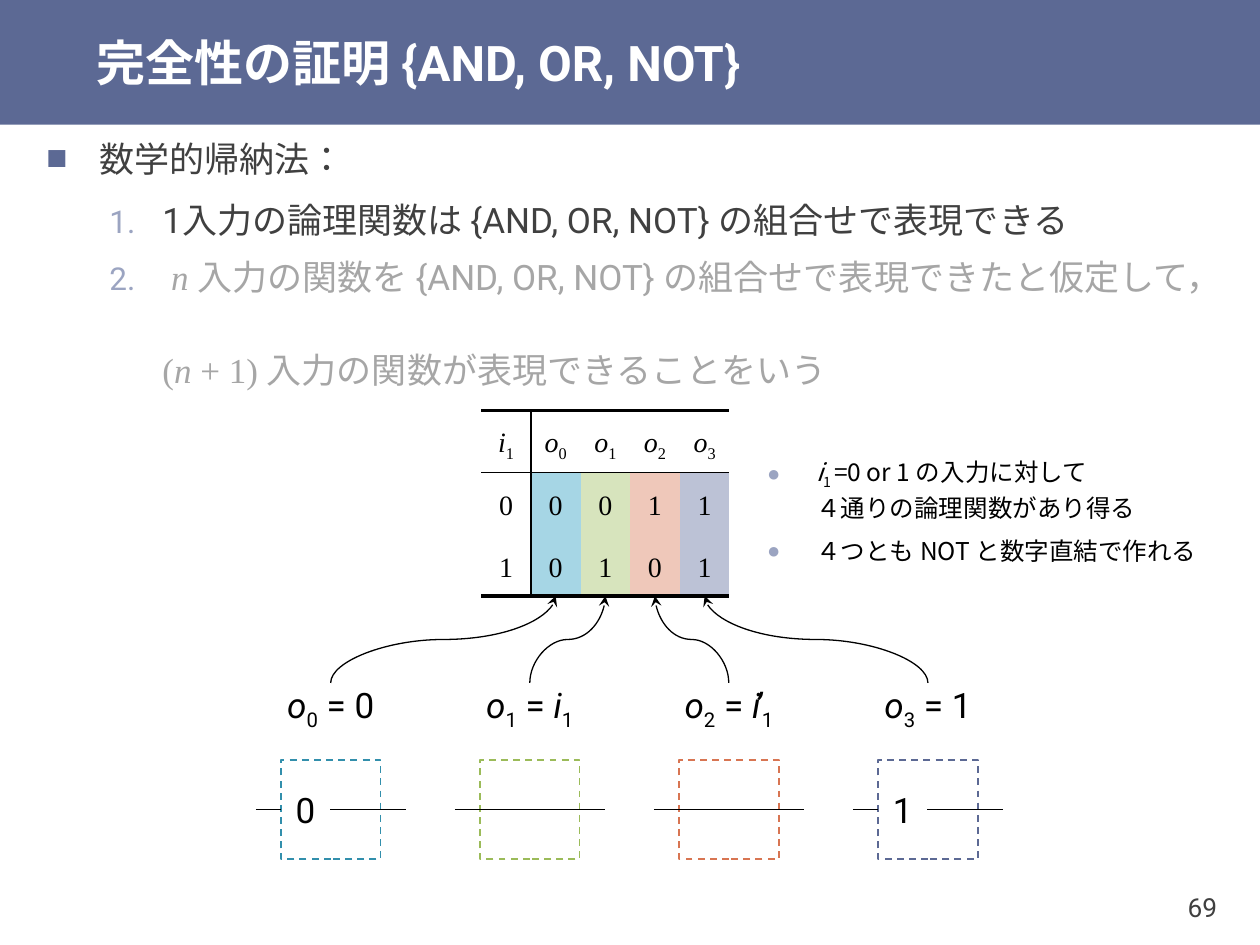
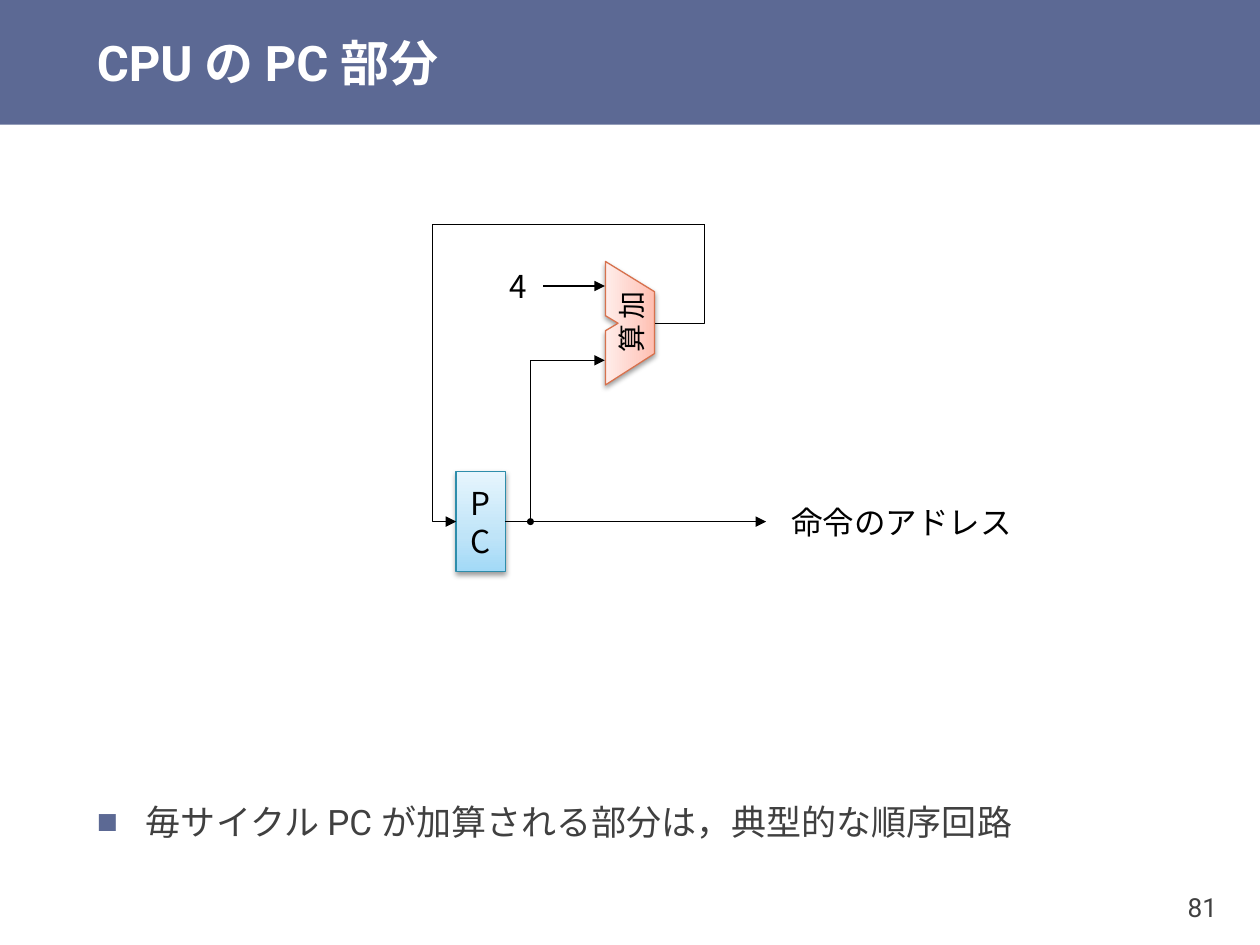
from copy import deepcopy

from lxml.etree import SubElement
from pptx import Presentation
from pptx.dml.color import RGBColor
from pptx.enum.dml import MSO_LINE
from pptx.enum.lang import MSO_LANGUAGE_ID
from pptx.enum.shapes import MSO_CONNECTOR, MSO_SHAPE
from pptx.enum.text import MSO_ANCHOR, PP_ALIGN
from pptx.oxml.ns import qn
from pptx.util import Inches, Pt

COLORS = {
    "band": "5C6994", "white": "FFFFFF", "black": "000000", "body": "404040",
    "muted": "A6A6A6", "number": "9BA4C1",
    "teal": "328FAC", "green": "9BBB59", "orange": "D87552",
    "teal_light": "A6D6E5", "green_light": "D7E4BD",
    "orange_light": "EFC8BA", "indigo_light": "BCC2D6",
    "pc_line": "2E8DAB", "adder_line": "D7714D",
}
PC_STOPS = [(0, "A2D9F7"), (35, "BFE4F8"), (100, "E6F5FD")]
ADDER_STOPS = [(0, "FFBEB0"), (35, "FFD0C7"), (100, "FFEDEA")]
SANS, CJK, SERIF = "Roboto", "Noto Sans CJK JP", "Times New Roman"
ITALIC, SUB = {"italic": True}, {"base": -25}
SERIF_RUN, SERIF_ITALIC = {"font": SERIF}, {"font": SERIF, "italic": True}
BOX, HALF = 0.79, 0.39
OUTPUT_PITCH = 1.58
COLUMN, ROW = 0.394, 0.49


def rgb(name):
    return RGBColor.from_string(COLORS[name])


def xml_child(parent, tag, **attributes):
    return SubElement(parent, qn(tag), {k: str(v) for k, v in attributes.items()})


# ---- Text ----
def format_run(run, size, font=SANS, color="black", bold=False, italic=False,
               base=0, spacing=0):
    run.font.size, run.font.name = Pt(size), font
    run.font.bold, run.font.italic = bold, italic
    run.font.color.rgb = rgb(color)
    run.font.language_id = MSO_LANGUAGE_ID.JAPANESE
    properties = run.font._element
    xml_child(properties, "a:ea", typeface=CJK)
    if base:
        properties.set("baseline", str(base * 1000))
    if spacing:
        properties.set("spc", str(spacing * 100))


def write(paragraph, parts, size, **style):
    """Parts are plain strings or (string, style changes); a newline is a break."""
    for part in [parts] if isinstance(parts, str) else parts:
        text, changes = (part, {}) if isinstance(part, str) else part
        for number, line in enumerate(text.split("\n")):
            if number:
                paragraph.add_line_break()
                paragraph._p[-1].append(deepcopy(run.font._element))
            if line:
                run = paragraph.add_run()
                run.text = line
                format_run(run, size, **{**style, **changes})


def set_frame(frame, insets=(0.1, 0.05)):
    frame.word_wrap = True
    frame.vertical_anchor = MSO_ANCHOR.MIDDLE
    frame.margin_left = frame.margin_right = Inches(insets[0])
    frame.margin_top = frame.margin_bottom = Inches(insets[1])


def text_box(slide, box, parts, size, align=PP_ALIGN.LEFT, insets=(0.1, 0.05), **style):
    label = slide.shapes.add_textbox(*map(Inches, box))
    set_frame(label.text_frame, insets)
    paragraph = label.text_frame.paragraphs[0]
    paragraph.alignment = align
    write(paragraph, parts, size, **style)
    return label


def set_bullet(paragraph, mark, margin, hang, before, after, level=0):
    paragraph.level = level
    paragraph.line_spacing = 1.1
    paragraph.space_before, paragraph.space_after = Pt(before), Pt(after)
    properties = paragraph._p.get_or_add_pPr()
    properties.set("marL", str(Inches(margin)))
    properties.set("indent", str(Inches(-hang)))
    color = xml_child(properties, "a:buClr")
    xml_child(color, "a:srgbClr", val=COLORS["number" if level else "band"])
    xml_child(properties, "a:buSzPct", val=90000 if level else 100000)
    xml_child(properties, "a:buFont", typeface=SERIF if mark else SANS)
    if mark:
        xml_child(properties, "a:buChar", char=mark)
    else:
        xml_child(properties, "a:buAutoNum", type="arabicPeriod")


# ---- Lines and shapes ----
def style_line(shape, width, head=None, tail=None):
    shape.line.color.rgb, shape.line.width = rgb("black"), Pt(width)
    line = shape.line._get_or_add_ln()
    if head:
        xml_child(line, "a:headEnd", type=head, w="sm", len="sm")
    if tail:
        xml_child(line, "a:tailEnd", type=tail)


def connect(slide, start, end, kind=MSO_CONNECTOR.STRAIGHT, tail=None):
    line = slide.shapes.add_connector(kind, *map(Inches, (*start, *end)))
    style_line(line, 0.75, tail=tail)
    xml_child(line._element.spPr, "a:effectLst")
    return line


def curve_up(slide, start, end):
    """S-curve that leaves and arrives vertically: a turned curved connector."""
    (x1, y1), (x2, y2) = start, end
    mid_x, mid_y = (x1 + x2) / 2, (y1 + y2) / 2
    rise, run = y1 - y2, x2 - x1
    side = rise / 2 if run > 0 else -rise / 2
    curve = connect(slide, (mid_x - side, mid_y - abs(run) / 2),
                    (mid_x + side, mid_y + abs(run) / 2),
                    MSO_CONNECTOR.CURVE, "stealth")
    turn = 270 if run > 0 else 90
    curve._element.spPr.find(qn("a:xfrm")).set("rot", str(turn * 60000))


def outline(slide, points, close=False):
    corners = [(Inches(x), Inches(y)) for x, y in points]
    builder = slide.shapes.build_freeform(*corners[0])
    builder.add_line_segments(corners[1:], close=close)
    shape = builder.convert_to_shape()
    shape.shadow.inherit = False
    return shape


def wire(slide, points, **arrows):
    bent_line = outline(slide, points)
    bent_line.fill.background()
    style_line(bent_line, 0.5, **arrows)


def style_block(shape, stops, line_color, text, size):
    """Upward gradient, thin outline, soft shadow below and a centred caption."""
    shape.line.color.rgb, shape.line.width = rgb(line_color), Pt(0.75)
    shape.shadow.inherit = False
    properties = shape._element.spPr
    gradient = xml_child(properties, "a:gradFill", rotWithShape=1)
    stop_list = xml_child(gradient, "a:gsLst")
    for position, color in stops:
        stop = xml_child(stop_list, "a:gs", pos=position * 1000)
        xml_child(stop, "a:srgbClr", val=color)
    xml_child(gradient, "a:lin", ang=270 * 60000, scaled=0)
    properties.find(qn("a:ln")).addprevious(gradient)
    shadow = xml_child(properties.find(qn("a:effectLst")), "a:outerShdw",
                       blurRad=Pt(3.1), dist=Pt(1.6), dir=90 * 60000, rotWithShape=0)
    shade = xml_child(shadow, "a:srgbClr", val=COLORS["black"])
    xml_child(shade, "a:alpha", val=38000)
    set_frame(shape.text_frame)
    paragraph = shape.text_frame.paragraphs[0]
    paragraph.alignment = PP_ALIGN.CENTER
    write(paragraph, text, size, font=CJK)


# ---- Shared slide frame ----
def add_slide(deck, title, page):
    slide = deck.slides.add_slide(deck.slide_layouts[6])
    band = slide.shapes.add_shape(MSO_SHAPE.RECTANGLE, 0, 0, deck.slide_width, Inches(0.99))
    band.fill.solid()
    band.fill.fore_color.rgb = rgb("band")
    band.line.fill.background()
    band.shadow.inherit = False
    text_box(slide, (8.94, 6.9, BOX, 0.6), page, 15, PP_ALIGN.RIGHT,
             insets=(0.07, 0.04), color="body")
    text_box(slide, (0.67, 0, 9.33, 0.99), title, 28, insets=(0.1, 0),
             color="white", bold=True)
    return slide


def bullet_list(slide, box, items, size, **style):
    """Each item is (parts, bullet settings)."""
    (parts, bullet), *rest = items
    frame = text_box(slide, box, parts, size, **style).text_frame
    set_bullet(frame.paragraphs[0], **bullet)
    for parts, bullet in rest:
        paragraph = frame.add_paragraph()
        set_bullet(paragraph, **bullet)
        write(paragraph, parts, size, **style)


# ---- Completeness proof ----
def set_border(cell, edge, width):
    line = xml_child(cell._tc.get_or_add_tcPr(), f"a:ln{edge}", w=Pt(width))
    if width:
        xml_child(xml_child(line, "a:solidFill"), "a:srgbClr", val=COLORS["black"])
    else:
        xml_child(line, "a:noFill")


def truth_table(slide, left, top):
    header = [[(name, ITALIC), (index, SUB)]
              for name, index in ("i1", "o0", "o1", "o2", "o3")]
    rows = [header, "00011", "10101"]
    fills = [None, "teal_light", "green_light", "orange_light", "indigo_light"]
    rules = [2.25, 1, 0, 2.25]
    table = slide.shapes.add_table(3, 5, *map(Inches, (left, top, 5 * COLUMN, 3 * ROW))).table
    table.first_row = table.horz_banding = False
    for column in table.columns:
        column.width = Inches(COLUMN)
    for r, values in enumerate(rows):
        table.rows[r].height = Inches(ROW)
        for c, value in enumerate(values):
            cell = table.cell(r, c)
            cell.vertical_anchor = MSO_ANCHOR.MIDDLE
            paragraph = cell.text_frame.paragraphs[0]
            paragraph.alignment, paragraph.line_spacing = PP_ALIGN.CENTER, 1.2
            paragraph.space_before = Pt(3.2)
            write(paragraph, value, 16, font=SERIF)
            set_border(cell, "L", 1 if c == 1 else 0)
            set_border(cell, "R", 1 if c == 0 else 0)
            set_border(cell, "T", rules[r])
            set_border(cell, "B", rules[r + 1])
            if r and fills[c]:
                cell.fill.solid()
                cell.fill.fore_color.rgb = rgb(fills[c])
            else:
                cell.fill.background()


def output_circuit(slide, left, top, formula, color, constant, target):
    """Formula with a curve to its table column, above a dashed circuit box."""
    middle = left + BOX / 2
    text_box(slide, (left, top, BOX, HALF), formula, 20, PP_ALIGN.CENTER, insets=(0, 0.05))
    curve_up(slide, (middle, top), target)
    box_top = top + 0.61
    box = slide.shapes.add_shape(MSO_SHAPE.RECTANGLE, *map(Inches, (left, box_top, BOX, BOX)))
    box.fill.background()
    box.shadow.inherit = False
    box.line.color.rgb, box.line.width = rgb(color), Pt(1)
    box.line.dash_style = MSO_LINE.DASH
    y, right = box_top + BOX / 2, left + BOX
    inner_start, site = box, 1
    if constant:
        inner_start, site = text_box(slide, (left, box_top, HALF, BOX), constant, 20,
                                     PP_ALIGN.CENTER), 3
    inner = connect(slide, (left, y), (right, y))
    inner.begin_connect(inner_start, site)
    inner.end_connect(box, 3)
    connect(slide, (left - 0.2, y), (left, y)).end_connect(box, 1)
    connect(slide, (right, y), (right + 0.2, y)).begin_connect(box, 3)


def proof_slide(deck):
    slide = add_slide(deck, "完全性の証明 {AND, OR, NOT}", "69")
    step = dict(mark=None, margin=0.92, hang=0.42, before=3, after=3, level=1)
    assumption = [
        " ", ("n ", SERIF_ITALIC),
        "入力の関数を {AND, OR, NOT} の組合せで表現できたと仮定して，\n",
        ("(", SERIF_RUN), ("n", SERIF_ITALIC), (" + 1) ", SERIF_RUN),
        "入力の関数が表現できることをいう"]
    muted = [(part, {"color": "muted"}) if isinstance(part, str)
             else (part[0], {**part[1], "color": "muted"}) for part in assumption]
    bullet_list(slide, (0.27, 1.19, 9.45, 1.77), [
        ("数学的帰納法：", dict(mark="■", margin=0.42, hang=0.42, before=24, after=6)),
        ("1入力の論理関数は {AND, OR, NOT} の組合せで表現できる", step),
        (muted, step)], 20, color="body")

    table_left, table_top = 3.82, 3.26
    truth_table(slide, table_left, table_top)
    outputs = [
        ([" = 0"], "teal", "0"),
        ([" = ", ("i", ITALIC), ("1", SUB)], "green", None),
        ([" = ", ("i’", {"italic": True, "spacing": -3}), ("1", SUB)], "orange", None),
        ([" = 1"], "band", "1"),
    ]
    for index, (result, color, constant) in enumerate(outputs):
        target = (table_left + (index + 1.5) * COLUMN, table_top + 3 * ROW)
        formula = [("o", ITALIC), (str(index), SUB), *result]
        output_circuit(slide, 2.23 + index * OUTPUT_PITCH, 5.42, formula, color,
                       constant, target)

    note = dict(mark="●", margin=0.79, hang=0.39, before=3, after=3, level=1)
    bullet_list(slide, (5.59, 2.96, 4.33, 2.17), [
        ([("i", ITALIC), ("1 ", SUB), "=0 or 1 の入力に対して\n４通りの論理関数があり得る"], note),
        ("４つとも NOT と数字直結で作れる", note)], 14, font=CJK)


# ---- Program counter ----
def adder(slide, left, top):
    """Notched trapezoid drawn lying down, then turned to face right."""
    profile = [(0.98, 0), (0.74, 0.39), (0.25, 0.39), (0, 0),
               (0.43, 0), (0.49, 0.1), (0.55, 0)]
    block = outline(slide, [(left + x, top + y) for x, y in profile], close=True)
    style_block(block, ADDER_STOPS, "adder_line", "加算", 16)
    block.text_frame._txBody.bodyPr.set("vert", "eaVert")
    block.rotation = 270


def counter_circuit(slide, left, top):
    """Counter register, +4 adder and the feedback loop between them."""
    x_pc, x_branch, x_adder, x_loop = left + 0.19, left + 0.78, left + 1.37, left + 2.16
    y_four, y_sum, y_branch, y_pc = top + 0.49, top + 0.79, top + 1.08, top + 2.36
    pc = slide.shapes.add_shape(MSO_SHAPE.RECTANGLE,
                                *map(Inches, (x_pc, y_pc - BOX / 2, HALF, BOX)))
    style_block(pc, PC_STOPS, "pc_line", "PC", 18)
    address = connect(slide, (x_pc + HALF, y_pc), (left + 2.65, y_pc), tail="triangle")
    address.begin_connect(pc, 3)
    wire(slide, [(x_branch, y_pc), (x_branch, y_branch), (x_adder, y_branch)],
         head="oval", tail="triangle")
    adder(slide, left + 1.08, top + 0.59)
    four = text_box(slide, (left + 0.49, y_four - HALF / 2, HALF, HALF), "4", 18,
                    PP_ALIGN.CENTER, font=CJK)
    connect(slide, (left + 0.88, y_four), (x_adder, y_four),
            tail="triangle").begin_connect(four, 3)
    # Feedback loop
    wire(slide, [(left, top), (left, y_pc), (x_pc, y_pc)], tail="triangle")
    wire(slide, [(x_adder + 0.4, y_sum), (x_loop, y_sum), (x_loop, top)])
    connect(slide, (left, top), (x_loop, top))
    # Address label, wide enough for one line
    text_box(slide, (left + 2.75, y_pc - HALF / 2, 2.1, HALF), "命令のアドレス", 18,
             insets=(0.1, 0), font=CJK)


def counter_slide(deck):
    slide = add_slide(deck, "CPU の PC 部分", "81")
    bullet_list(slide, (0.67, 6.11, 9.06, BOX), [
        ("毎サイクル PC が加算される部分は，典型的な順序回路",
         dict(mark="■", margin=0.39, hang=0.39, before=24, after=6))], 20, color="body")
    counter_circuit(slide, 3.43, 1.78)


def main():
    deck = Presentation()
    deck.slide_width, deck.slide_height = Inches(10), Inches(7.5)
    proof_slide(deck)
    counter_slide(deck)
    deck.save("out.pptx")


if __name__ == "__main__":
    main()
